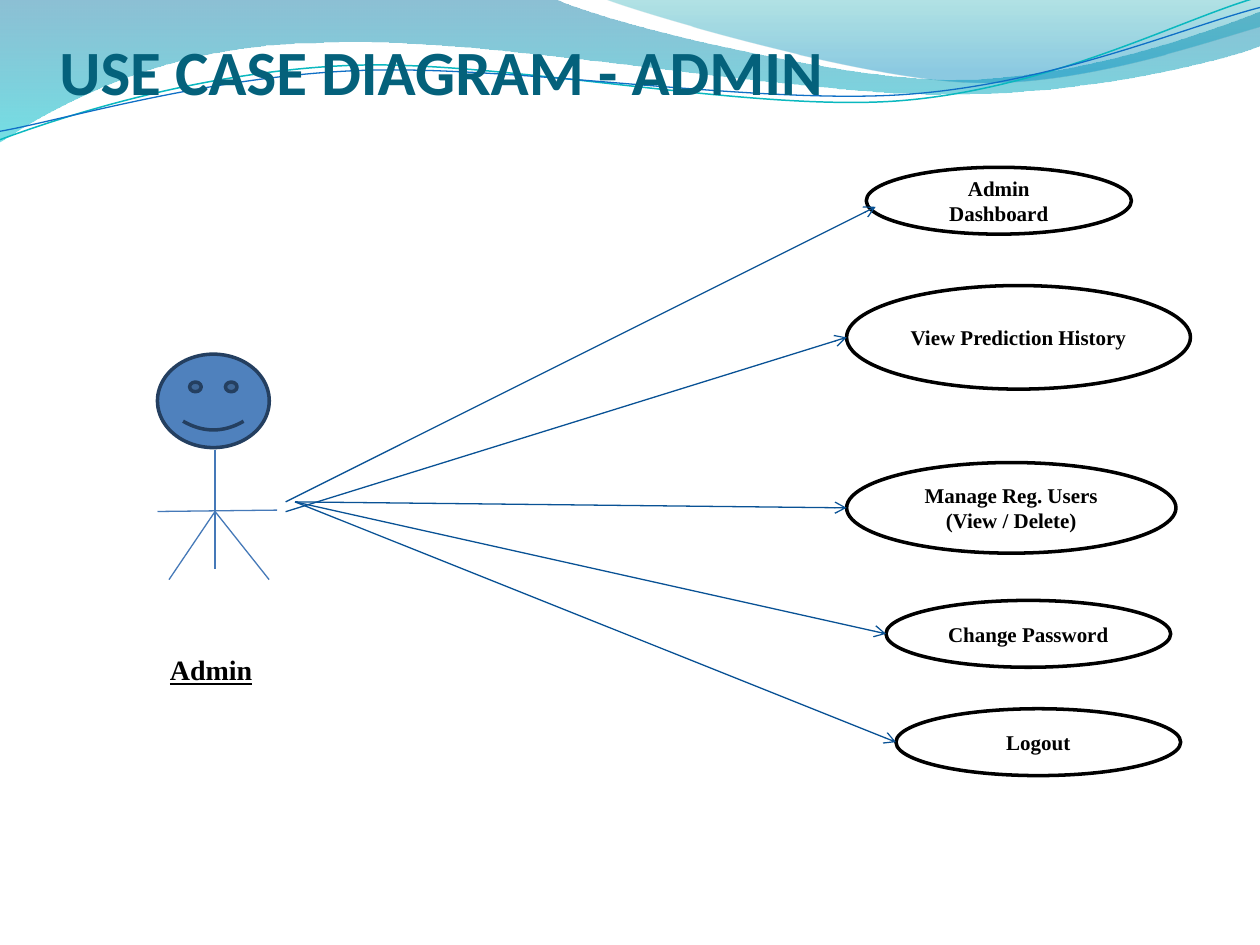
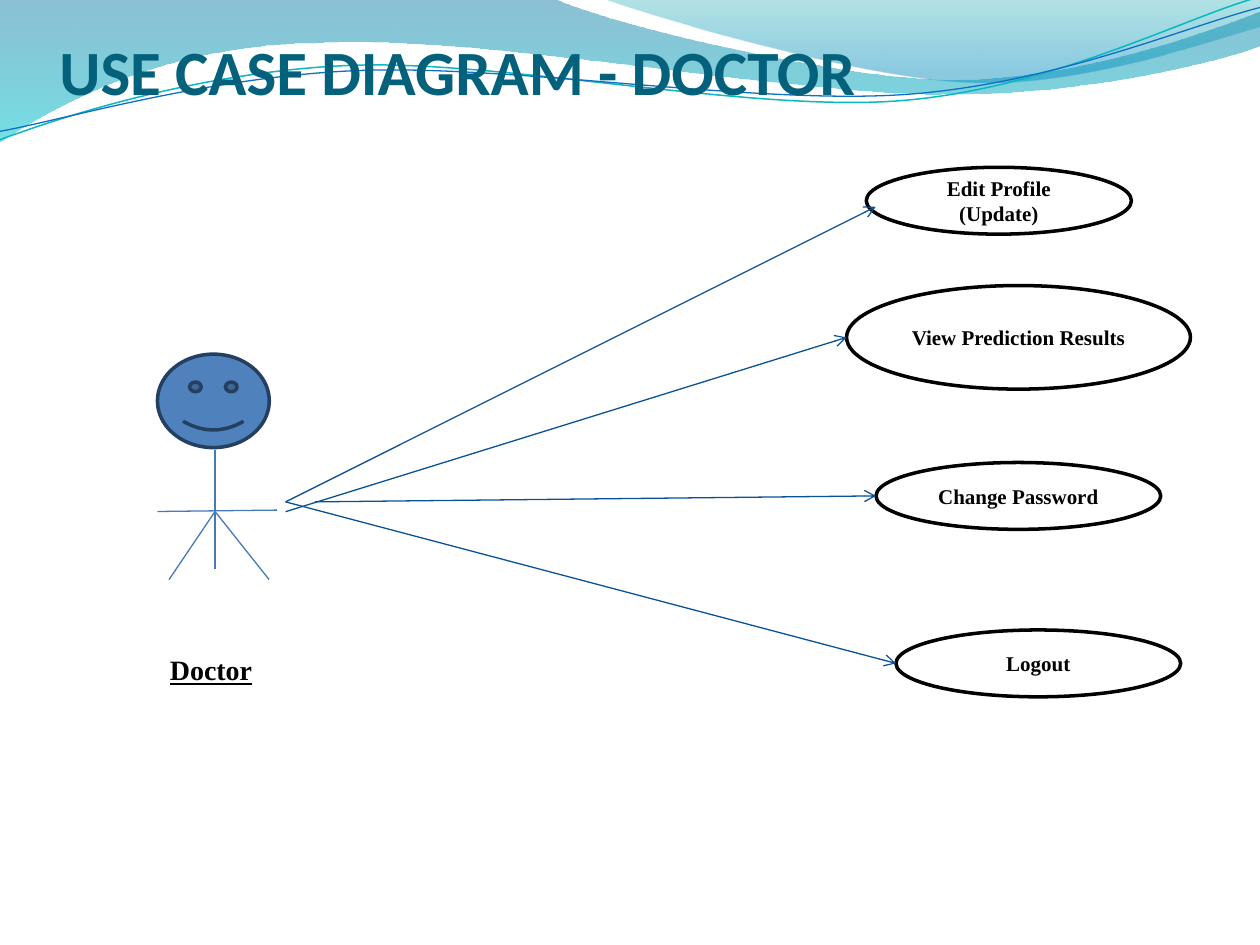
from typing import NamedTuple

from pptx import Presentation
from pptx.dml.color import RGBColor
from pptx.enum.shapes import MSO_CONNECTOR, MSO_SHAPE
from pptx.enum.text import MSO_ANCHOR, PP_ALIGN
from pptx.oxml.ns import qn
from pptx.oxml.xmlchemy import OxmlElement
from pptx.shapes.autoshape import Shape
from pptx.slide import Slide
from pptx.text.text import TextFrame
from pptx.util import Pt

OVAL, SMILEY = MSO_SHAPE.OVAL, MSO_SHAPE.SMILEY_FACE
STRAIGHT = MSO_CONNECTOR.STRAIGHT
MIDDLE, BOTTOM = MSO_ANCHOR.MIDDLE, MSO_ANCHOR.BOTTOM
LEFT, CENTER = PP_ALIGN.LEFT, PP_ALIGN.CENTER

BLACK, WHITE, TITLE = "000000", "FFFFFF", "04617B"
FACE, RIM, LIMB, ARROW = "4F81BD", "243F60", "4579B8", "095295"
SANS, SERIF = "Calibri", "Times New Roman"
TILT = -2.7  # degrees

Point = tuple[float, float]


class Stop(NamedTuple):
    pos: float
    color: str
    alpha: int  # percent


class Band(NamedTuple):
    """Wave area; a step is a line end (2 numbers) or a cubic curve (6)."""
    start: Point
    steps: list[tuple[float, ...]]
    stops: list[Stop]


class Swash(NamedTuple):
    """Wave line, given before it is tilted; steps as in a band."""
    start: Point
    steps: list[tuple[float, ...]]
    color: str
    width: float


class Case(NamedTuple):
    text: str
    left: float
    top: float
    width: float
    height: float
    start: Point
    end: Point | None = None  # left middle of the oval unless given


class Page(NamedTuple):
    role: str
    cases: list[Case]


BANDS = [
    Band((0, -0.7),
         [(316.8, -0.7),
          (342.7, 12.2, 478.1, 45.4, 545.8, 45.4),
          (614.2, 45.4, 689.8, 18.7, 720, 6.5),
          (720.7, 25.9),
          (707.8, 31.7, 626.4, 54.7, 537.1, 54),
          (447.8, 54, 275, 20.2, 185, 24.5),
          (92.9, 25.2, 33.1, 59.8, -0.7, 81.4)],
         [Stop(0, "0074A1", 45), Stop(1, "00C6CF", 55)]),
    Band((344.9, -0.7),
         [(366.5, 7.9, 491, 44.6, 553.7, 46.8),
          (616.3, 49.7, 691.9, 23, 720, 15.1),
          (720, 0)],
         [Stop(0, "00A1A9", 30), Stop(0.8, "008BBF", 45)]),
]
SWASHES = [
    Swash((-1.4, 62.9),
          [(33.8, 51.7, 114.1, 29.4, 199.8, 29.9),
           (284.9, 30.3, 425.8, 67.3, 512.4, 64.9),
           (599, 62.4, 676.4, 25.7, 720.2, 15.5)], "0AB8BF", 0.85),
    Swash((-1.1, 58),
          [(32.9, 53.8, 118.3, 32.5, 204.1, 33),
           (290.6, 33.4, 428.9, 63.1, 515.5, 61.4),
           (601.3, 59.6, 678.4, 30.1, 721.4, 21.3)], "0F6FC6", 0.75),
]

NECK, HIP, WAIST = (122.9, 257), (122.9, 325.2), (122.9, 292.3)
LIMBS = [(NECK, HIP), ((90, 292.3), (158.4, 291.5)),
         (WAIST, (96.6, 331.2)), (WAIST, (153.8, 331.2))]

HAND, PALM, TIP = (163.2, 286.8), (163.2, 292.4), (168.6, 286.8)
TOP_END = (500.4, 118.2)
PAGES = [
    Page("Admin", [
        Case("Admin Dashboard", 495, 95.6, 151.5, 38.2, HAND, TOP_END),
        Case("View Prediction History", 483.8, 163.2, 196.5, 59.2, PALM),
        Case("Manage Reg. Users\n(View / Delete)",
             483.8, 264.3, 188.2, 51.8, TIP),
        Case("Change Password", 506.3, 343.1, 162.7, 38.2, TIP),
        Case("Logout", 512, 405, 162.7, 38.2, TIP),
    ]),
    Page("Doctor", [
        Case("Edit Profile\n(Update)", 495, 95.6, 151.5, 38.2, HAND, TOP_END),
        Case("View Prediction Results", 483.8, 163.2, 196.5, 59.2, PALM),
        Case("Change Password", 500.6, 264.3, 162.7, 38.2, (180, 286.8)),
        Case("Logout", 512, 360, 162.7, 38.2, HAND),
    ]),
]


def rgb(color: str) -> RGBColor:
    return RGBColor.from_string(color)


def outline(slide: Slide, item: Band | Swash, close: bool) -> Shape:
    """Build a freeform, then join each three points of a curve step."""
    points = [(Pt(x), Pt(y)) for step in item.steps
              for x, y in zip(step[::2], step[1::2])]
    pen = slide.shapes.build_freeform(*map(Pt, item.start))
    pen.add_line_segments(points, close=close)
    shape = pen.convert_to_shape()
    shape.shadow.inherit = False
    legs = iter(list(shape.element.spPr.iter(qn("a:lnTo"))))
    for step in item.steps:
        first = next(legs)
        if len(step) == 2:
            continue
        curve = OxmlElement("a:cubicBezTo")
        first.addprevious(curve)
        for leg in (first, next(legs), next(legs)):
            curve.append(leg[0])
            leg.getparent().remove(leg)
    return shape


def add_band(slide: Slide, band: Band) -> None:
    shape = outline(slide, band, True)
    shape.line.fill.background()
    shape.fill.gradient()
    shape.fill.gradient_angle = 270
    for mark, stop in zip(shape.fill.gradient_stops, band.stops):
        mark.position = stop.pos
        mark.color.rgb = rgb(stop.color)
    tints = shape.element.spPr.iter(qn("a:srgbClr"))
    for tint, stop in zip(list(tints), band.stops):
        alpha = OxmlElement("a:alpha")
        alpha.set("val", str(stop.alpha * 1000))
        tint.append(alpha)


def add_swash(slide: Slide, swash: Swash) -> None:
    shape = outline(slide, swash, False)
    shape.rotation = TILT
    shape.fill.background()
    shape.line.color.rgb = rgb(swash.color)
    shape.line.width = Pt(swash.width)


def write(frame: TextFrame, text: str, size: float, face: str, color: str,
          align: PP_ALIGN, anchor: MSO_ANCHOR) -> None:
    frame.word_wrap = True
    frame.vertical_anchor = anchor
    frame.text = text
    for para in frame.paragraphs:
        para.alignment = align
        font = para.font
        font.size, font.name, font.bold = Pt(size), face, True
        font.color.rgb = rgb(color)


def add_form(slide: Slide, kind: MSO_SHAPE, box: tuple[float, ...],
             fill: str, line: str) -> Shape:
    shape = slide.shapes.add_shape(kind, *map(Pt, box))
    shape.shadow.inherit = False
    shape.fill.solid()
    shape.fill.fore_color.rgb = rgb(fill)
    shape.line.color.rgb = rgb(line)
    shape.line.width = Pt(2)
    return shape


def add_line(slide: Slide, start: Point, end: Point, color: str,
             head: bool = False) -> None:
    line = slide.shapes.add_connector(STRAIGHT, *map(Pt, (*start, *end)))
    line.line.color.rgb = rgb(color)
    line.line.width = Pt(0.75)
    props = line.element.spPr
    props.append(OxmlElement("a:effectLst"))
    if head:
        tip = OxmlElement("a:tailEnd")
        tip.set("type", "arrow")
        props.find(qn("a:ln")).append(tip)


def add_title(slide: Slide, text: str) -> None:
    frame = slide.shapes.add_textbox(
        Pt(34), Pt(17), Pt(648), Pt(44.6)).text_frame
    frame.margin_left = frame.margin_right = frame.margin_bottom = 0
    write(frame, text, 36, SANS, TITLE, LEFT, BOTTOM)


def add_actor(slide: Slide, role: str) -> None:
    add_form(slide, SMILEY, (90, 202.4, 63.9, 53.4), FACE, RIM)
    for start, end in LIMBS:
        add_line(slide, start, end, LIMB)
    frame = slide.shapes.add_textbox(
        Pt(90), Pt(332), Pt(68), Pt(80)).text_frame
    frame.margin_top = Pt(24.7)
    write(frame, role, 16, SERIF, BLACK, LEFT, MIDDLE)
    frame.paragraphs[0].font.underline = True


def add_case(slide: Slide, case: Case) -> None:
    box = (case.left, case.top, case.width, case.height)
    oval = add_form(slide, OVAL, box, WHITE, BLACK)
    write(oval.text_frame, case.text, 12, SERIF, BLACK, CENTER, MIDDLE)


def add_arrow(slide: Slide, case: Case) -> None:
    end = case.end or (case.left, case.top + case.height / 2)
    add_line(slide, case.start, end, ARROW, head=True)


def main() -> None:
    deck = Presentation()
    deck.slide_width, deck.slide_height = Pt(720), Pt(540)
    for page in PAGES:
        slide = deck.slides.add_slide(deck.slide_layouts[6])
        for band in BANDS:
            add_band(slide, band)
        for swash in SWASHES:
            add_swash(slide, swash)
        add_title(slide, f"USE CASE DIAGRAM - {page.role.upper()}")
        add_actor(slide, page.role)
        for case in page.cases:
            add_case(slide, case)
        for case in page.cases:
            add_arrow(slide, case)
    deck.save("out.pptx")


if __name__ == "__main__":
    main()
